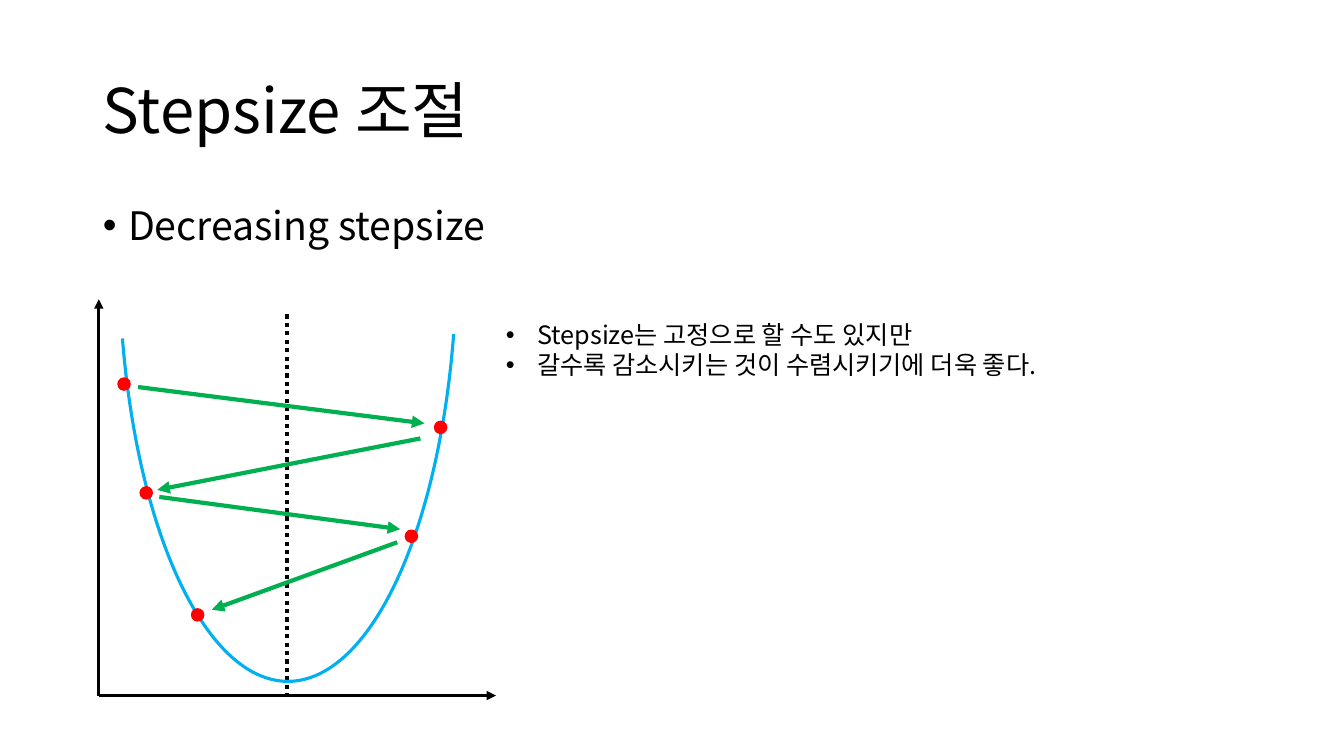
from dataclasses import dataclass

import lxml.etree
import pptx
import pptx.dml.color
import pptx.enum.dml
import pptx.enum.shapes
import pptx.enum.text
import pptx.oxml.ns
import pptx.util

Inches = pptx.util.Inches
Pt = pptx.util.Pt
qn = pptx.oxml.ns.qn


@dataclass(frozen=True)
class Theme:
    font: str = "Noto Sans CJK KR"
    ink: str = "000000"
    curve: str = "00B0F0"
    iterate: str = "FF0000"
    step: str = "00B050"
    title_size: int = 44
    body_size: int = 28
    note_size: int = 18


THEME = Theme()
AXIS_ORIGIN = (0.98, 6.9)
DOT_SIZE = 0.12
DOTS = [(1.17, 3.75), (4.31, 4.18), (1.39, 4.83), (4.02, 5.26), (1.9, 6.04)]
STEPS = [
    ((1.37, 3.84), (4.21, 4.2)),
    ((4.17, 4.35), (1.56, 4.86)),
    ((1.58, 4.93), (3.97, 5.25)),
    ((3.94, 5.38), (2.1, 6.05)),
]


def rgb(value):
    return pptx.dml.color.RGBColor.from_string(value)


def place(shape, left, top, width, height):
    shape.left, shape.top = Inches(left), Inches(top)
    shape.width, shape.height = Inches(width), Inches(height)


def add_bullet(paragraph, indent):
    properties = paragraph._p.get_or_add_pPr()
    properties.set("marL", str(Inches(indent)))
    properties.set("indent", str(-Inches(indent)))
    lxml.etree.SubElement(properties, qn("a:buFont"), typeface="Arial")
    lxml.etree.SubElement(properties, qn("a:buChar"), char="•")


def write_text(shape, lines, *, size, indent=None, line_spacing=1.0,
               anchor=pptx.enum.text.MSO_ANCHOR.TOP,
               fit=pptx.enum.text.MSO_AUTO_SIZE.NONE):
    frame = shape.text_frame
    frame.word_wrap = True
    frame.auto_size = fit
    frame.vertical_anchor = anchor
    frame.text = "\n".join(lines)
    for paragraph in frame.paragraphs:
        if indent is not None:
            add_bullet(paragraph, indent)
        paragraph.alignment = pptx.enum.text.PP_ALIGN.LEFT
        paragraph.line_spacing = line_spacing
        paragraph.space_before = Pt(0)
        for run in paragraph.runs:
            run.font.size = Pt(size)
            run.font.color.rgb = rgb(THEME.ink)
            run.font.name = THEME.font
            lxml.etree.SubElement(run._r.get_or_add_rPr(), qn("a:ea"),
                                  typeface=THEME.font)


def add_line(slide, start, end, *, color, width, arrow=False, dash=None):
    connector = slide.shapes.add_connector(
        pptx.enum.shapes.MSO_CONNECTOR.STRAIGHT,
        *(Inches(value) for value in (*start, *end)))
    connector.line.color.rgb = rgb(color)
    connector.line.width = Pt(width)
    if dash is not None:
        connector.line.dash_style = dash
    if arrow:
        lxml.etree.SubElement(connector.line._get_or_add_ln(),
                              qn("a:tailEnd"), type="triangle")
    lxml.etree.SubElement(connector._element.spPr, qn("a:effectLst"))


def add_outlined_shape(slide, kind, box, *, color, width, filled=False):
    shape = slide.shapes.add_shape(kind, *(Inches(value) for value in box))
    shape.shadow.inherit = False
    if filled:
        shape.fill.solid()
        shape.fill.fore_color.rgb = rgb(color)
    else:
        shape.fill.background()
    shape.line.color.rgb = rgb(color)
    shape.line.width = Pt(width)
    return shape


def add_axes(slide):
    for tip in ((4.92, 6.9), (0.98, 2.97)):
        add_line(slide, AXIS_ORIGIN, tip, color=THEME.ink, width=2.25,
                 arrow=True)
    add_line(slide, (2.85, 3.12), (2.85, 6.9), color=THEME.ink, width=3,
             dash=pptx.enum.dml.MSO_LINE.ROUND_DOT)


def add_loss_curve(slide):
    """Draw the bowl as the upper part of an ellipse turned upside down."""
    curve = add_outlined_shape(slide, pptx.enum.shapes.MSO_SHAPE.ARC,
                               (1.18, -1.75, 3.35, 8.51),
                               color=THEME.curve, width=2.25)
    curve.adjustments[0] = 123.7
    curve.adjustments[1] = 199.52
    curve.rotation = 180


def add_descent(slide):
    for left, top in DOTS:
        add_outlined_shape(slide, pptx.enum.shapes.MSO_SHAPE.OVAL,
                           (left, top, DOT_SIZE, DOT_SIZE),
                           color=THEME.iterate, width=1, filled=True)
    for start, end in STEPS:
        add_line(slide, start, end, color=THEME.step, width=3, arrow=True)


def main():
    deck = pptx.Presentation()
    deck.slide_width, deck.slide_height = Inches(13.33), Inches(7.5)
    slide = deck.slides.add_slide(deck.slide_layouts[1])

    title = slide.shapes.title
    place(title, 0.92, 0.4, 11.5, 1.45)
    write_text(title, ["Stepsize 조절"], size=THEME.title_size,
               line_spacing=0.9, anchor=pptx.enum.text.MSO_ANCHOR.MIDDLE)

    topic = slide.placeholders[1]
    place(topic, 0.92, 2, 11.02, 4.76)
    write_text(topic, ["Decreasing stepsize"], size=THEME.body_size,
               indent=0.25, line_spacing=0.9)

    note = slide.shapes.add_textbox(Inches(4.92), Inches(3.12),
                                    Inches(8.4), Inches(0.71))
    write_text(note, ["Stepsize는 고정으로 할 수도 있지만",
                      "갈수록 감소시키는 것이 수렴시키기에 더욱 좋다."],
               size=THEME.note_size, indent=0.31,
               fit=pptx.enum.text.MSO_AUTO_SIZE.SHAPE_TO_FIT_TEXT)

    add_axes(slide)
    add_loss_curve(slide)
    add_descent(slide)
    deck.save("out.pptx")


if __name__ == "__main__":
    main()
